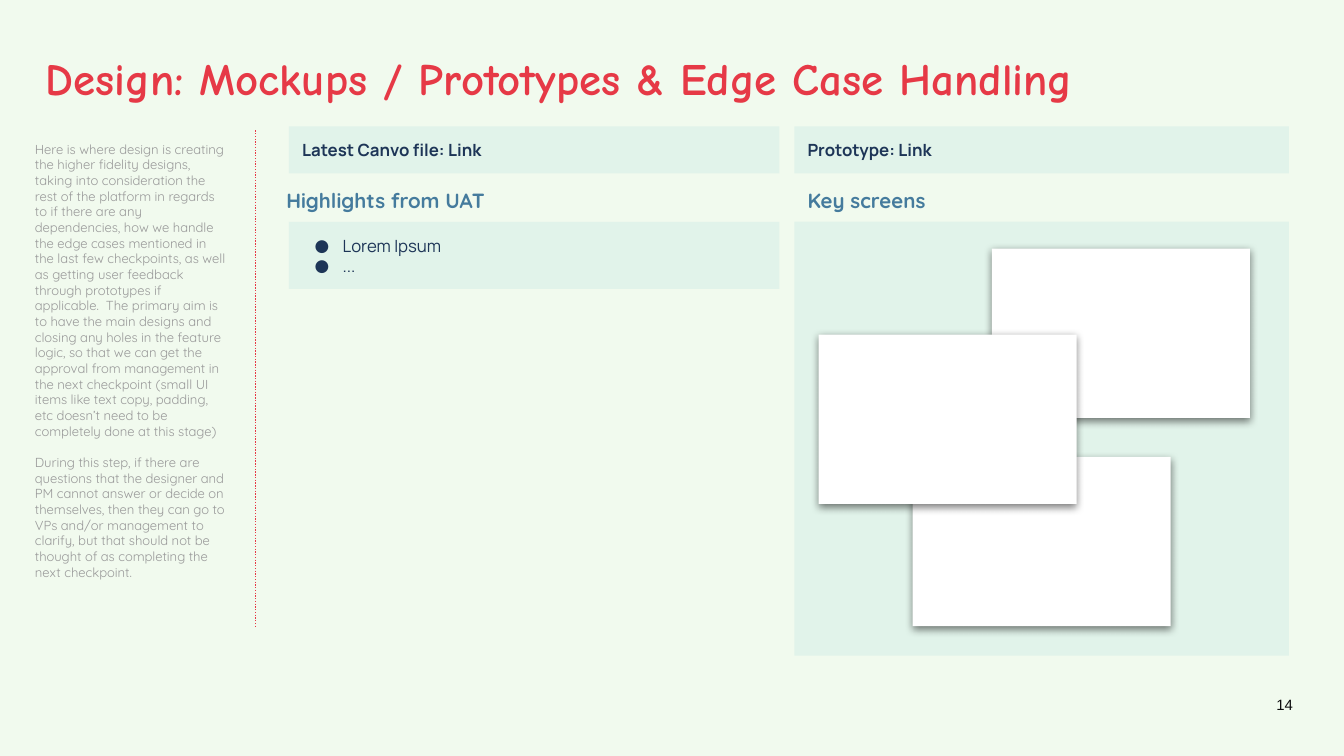
import pptx
import pptx.dml.color
import pptx.enum.dml
import pptx.enum.shapes
import pptx.enum.text
import pptx.oxml
import pptx.oxml.ns
import pptx.util

PX = 9144
COLORS = {
    "mint": "F1FAEE",
    "teal": "A8DADC",
    "red": "E63946",
    "navy": "1D3557",
    "blue": "457B9D",
    "grey": "999999",
    "ink": "0D0C0E",
    "white": "FFFFFF",
    "black": "000000",
}
GUIDANCE = [
    "Here is where design is creating the higher fidelity designs, taking into consideration "
    "the rest of the platform in regards to if there are any dependencies, how we handle the "
    "edge cases mentioned in the last few checkpoints, as well as getting user feedback through "
    "prototypes if applicable.  The primary aim is to have the main designs and closing any "
    "holes in the feature logic, so that we can get the approval from management in the next "
    "checkpoint (small UI items like text copy, padding, etc doesn’t need to be completely done "
    "at this stage)",
    "During this step, if there are questions that the designer and PM cannot answer or decide "
    "on themselves, then they can go to VPs and/or management to clarify, but that should not "
    "be thought of as completing the next checkpoint.",
]


def rgb(color):
    return pptx.dml.color.RGBColor.from_string(COLORS[color])


def add_xml(parent, tag, inner="", **attributes):
    listed = "".join(f' {name}="{value}"' for name, value in attributes.items())
    namespace = pptx.oxml.ns.nsdecls("a")
    parent.append(pptx.oxml.parse_xml(f"<a:{tag} {namespace}{listed}>{inner}</a:{tag}>"))


def write_text(frame, paragraphs, *, size, font, color, bold=False, align="LEFT",
               anchor="TOP", line_spacing=1.0, gap=0, bullet=None):
    frame.word_wrap = True
    frame.auto_size = pptx.enum.text.MSO_AUTO_SIZE.NONE
    frame.vertical_anchor = getattr(pptx.enum.text.MSO_ANCHOR, anchor)
    frame.margin_left = frame.margin_right = 10 * PX
    frame.margin_top = frame.margin_bottom = 10 * PX
    for index, text in enumerate(paragraphs):
        paragraph = frame.paragraphs[0] if index == 0 else frame.add_paragraph()
        properties = paragraph._p.get_or_add_pPr()
        properties.set("marL", str(30 * PX if bullet else 0))
        properties.set("indent", str(-21 * PX if bullet else 0))
        if bullet:
            add_xml(properties, "buClr", f'<a:srgbClr val="{COLORS[color]}"/>')
            add_xml(properties, "buFont", typeface=font)
            add_xml(properties, "buChar", char=bullet)
        else:
            add_xml(properties, "buNone")
        paragraph.alignment = getattr(pptx.enum.text.PP_ALIGN, align)
        paragraph.line_spacing = line_spacing
        paragraph.space_before = pptx.util.Pt(gap if index else 0)
        paragraph.space_after = pptx.util.Pt(0)
        run = paragraph.add_run()
        run.text = text
        run.font.size = pptx.util.Pt(size)
        run.font.name = font
        run.font.bold = bold
        run.font.color.rgb = rgb(color)


class SlideBuilder:
    card = dict(size=9, font="Manrope", color="navy")
    heading = dict(size=11, font="Quicksand", color="blue", bold=True)

    def __init__(self, slide):
        self.slide = slide
        slide.background.fill.solid()
        slide.background.fill.fore_color.rgb = rgb("mint")

    def tint(self, shape):
        shape.fill.solid()
        shape.fill.fore_color.rgb = rgb("teal")
        add_xml(shape.fill.fore_color._xFill.srgbClr, "alpha", val=21000)

    def placeholder(self, idx, box, paragraphs, tinted=False, **style):
        holder = self.slide.placeholders[idx]
        holder.left, holder.top, holder.width, holder.height = [v * PX for v in box]
        if tinted:
            self.tint(holder)
        write_text(holder.text_frame, paragraphs, **style)

    def label(self, box, text, **style):
        area = self.slide.shapes.add_textbox(*[v * PX for v in box])
        write_text(area.text_frame, [text], **style)

    def rectangle(self, box):
        shape = self.slide.shapes.add_shape(
            pptx.enum.shapes.MSO_SHAPE.RECTANGLE, *[v * PX for v in box])
        shape.shadow.inherit = False
        shape.line.fill.background()
        return shape

    def panel(self, box, text=None):
        shape = self.rectangle(box)
        self.tint(shape)
        if text:
            write_text(shape.text_frame, [text], bold=True, **self.card)

    def screen(self, left, top):
        shape = self.rectangle((left, top, 192, 126))
        shape.fill.solid()
        shape.fill.fore_color.rgb = rgb("white")
        effects = shape._element.spPr.find(pptx.oxml.ns.qn("a:effectLst"))
        shade = f'<a:srgbClr val="{COLORS["black"]}"><a:alpha val="50000"/></a:srgbClr>'
        add_xml(effects, "outerShdw", shade, blurRad=57150, dist=19050,
                dir=5400000, algn="bl", rotWithShape=0)

    def divider(self, x, top, bottom):
        line = self.slide.shapes.add_connector(
            pptx.enum.shapes.MSO_CONNECTOR.STRAIGHT, x * PX, top * PX, x * PX, bottom * PX)
        line.line.color.rgb = rgb("red")
        line.line.width = pptx.util.Pt(0.75)
        line.line.dash_style = pptx.enum.dml.MSO_LINE.ROUND_DOT
        add_xml(line._element.spPr, "effectLst")


def main():
    deck = pptx.Presentation()
    deck.slide_width = 1000 * PX
    deck.slide_height = deck.slide_width * 9 // 16
    comparison_layout = deck.slide_layouts[4]
    page = SlideBuilder(deck.slides.add_slide(comparison_layout))

    page.placeholder(0, (24, 22, 935, 88), ["Design: Mockups / Prototypes & Edge Case Handling"],
                     size=24, font="Comic Neue", color="red", bold=True, line_spacing=1.15)
    page.placeholder(1, (16, 95, 162, 408), GUIDANCE,
                     size=7, font="Quicksand", color="grey", gap=8.4)
    page.divider(190, 97, 466)

    page.panel((215, 94, 365, 35), "Latest Canvo file: Link")
    page.placeholder(3, (203, 130, 379, 37), ["Highlights from UAT"], **page.heading)
    page.placeholder(2, (215, 165, 365, 50), ["Lorem Ipsum", "..."],
                     tinted=True, bullet="●", **page.card)

    page.panel((591, 94, 368, 35), "Prototype: Link")
    page.placeholder(4, (591, 130, 379, 37), ["Key screens"], **page.heading)
    page.panel((591, 165, 368, 323))
    for left, top in ((738, 185), (679, 340), (609, 249)):
        page.screen(left, top)

    page.label((918, 498, 54, 43), "14", size=8, font="Arial", color="ink",
               align="RIGHT", anchor="BOTTOM")
    deck.save("out.pptx")


if __name__ == "__main__":
    main()
